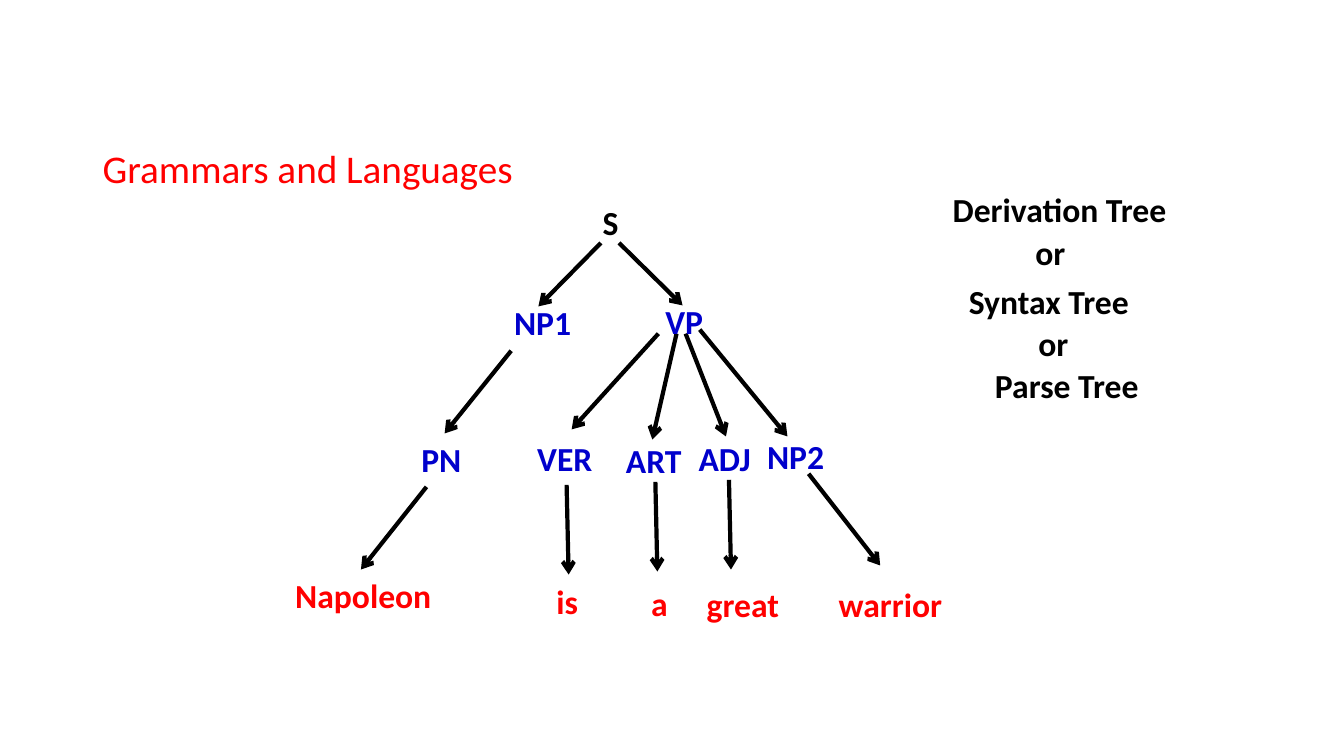
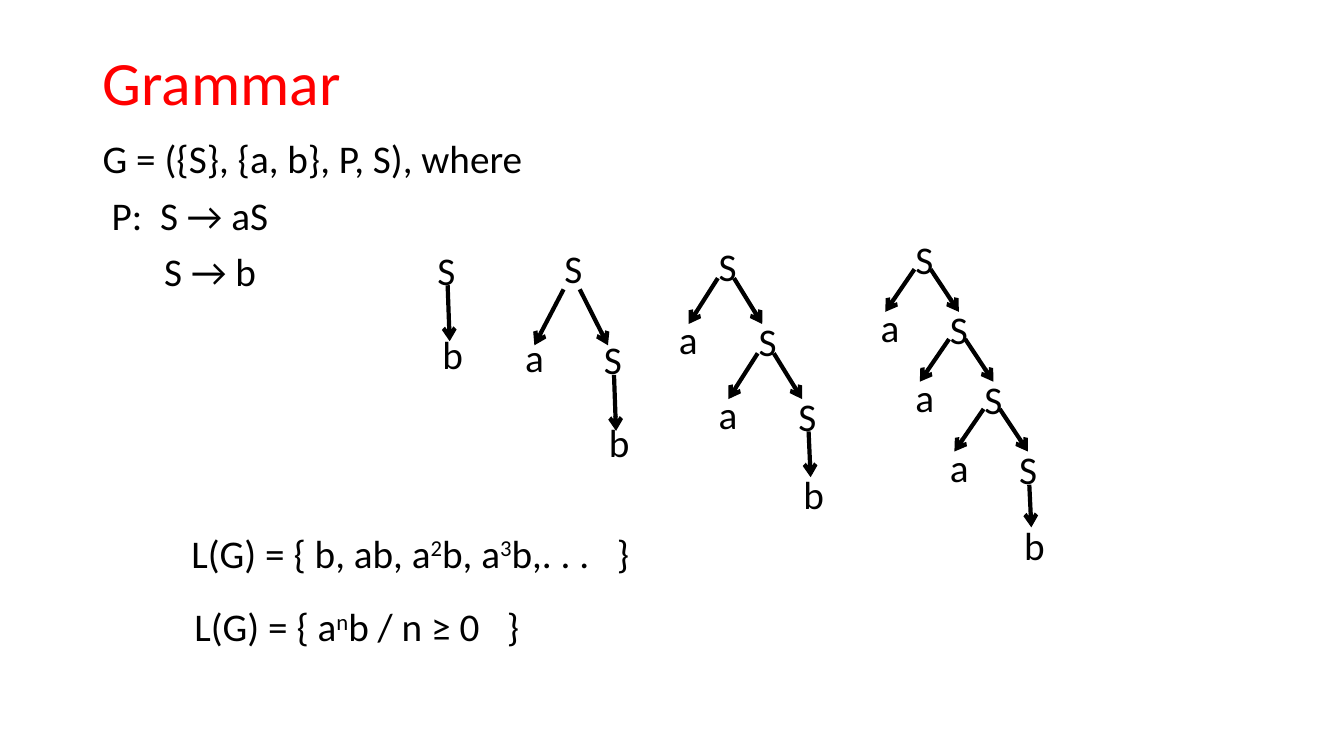
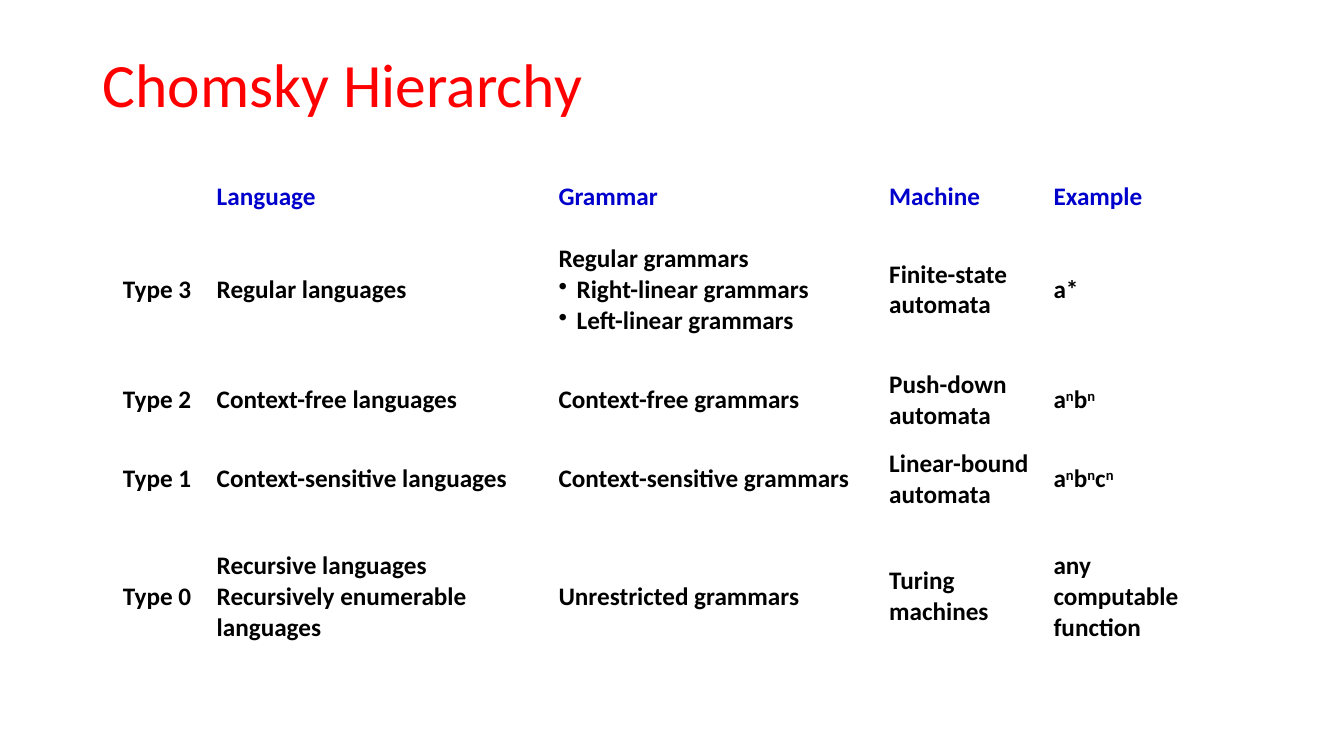
"""Build three slides on grammars, derivation trees and the Chomsky hierarchy."""
from lxml import etree
from pptx import Presentation
from pptx.dml.color import RGBColor
from pptx.enum.shapes import MSO_CONNECTOR
from pptx.enum.text import MSO_ANCHOR
from pptx.oxml.ns import qn
from pptx.util import Inches, Pt

STRAIGHT = MSO_CONNECTOR.STRAIGHT
TOP, MIDDLE = MSO_ANCHOR.TOP, MSO_ANCHOR.MIDDLE
FONT = "Calibri"
COLORS = {"title": "FF0000", "word": "FF0000", "symbol": "0000CC", "text": "000000"}
GRID = 0.1
MARGIN, CONTENT_WIDTH = 9.2, 115

SENTENCE_NODES = [
    ("S", 58.8, 19.5, 4, "text"),
    ("NP1", 50, 29.5, 9, "symbol"), ("VP", 65, 29.4, 6.6, "symbol"),
    ("PN", 40.8, 43.1, 6.9, "symbol"), ("VER", 52.3, 43, 7.8, "symbol"),
    ("ART", 61.1, 43.2, 9, "symbol"), ("ADJ", 68.3, 43, 9, "symbol"),
    ("NP2", 75.1, 42.8, 9, "symbol"),
    ("Napoleon", 28.3, 56.5, 15.7, "word"), ("is", 54.2, 57.1, 4.9, "word"),
    ("a", 63.6, 57.3, 3.7, "word"), ("great", 69.1, 57.4, 10.9, "word"),
    ("warrior", 82.2, 57.4, 14.8, "word"),
]
TREE_NAMES = [
    ("Derivation Tree", 93.5, 18.3, 24.1, "text"), ("or", 101.7, 22.5, 5.5, "text"),
    ("Syntax Tree", 95.1, 27.4, 24.1, "text"), ("or", 102, 31.5, 5.5, "text"),
    ("Parse Tree", 97.7, 35.7, 24.1, "text"),
]
SENTENCE_ARROWS = [
    (59.6, 24.1, 53.4, 30.4), (61.4, 24.1, 67.7, 30.3),
    (50.7, 34.8, 44.1, 43), (65.3, 33.1, 56.7, 42.6), (67.1, 33.1, 64.7, 43.6),
    (68, 33.1, 72, 43.3), (69.4, 32.7, 78.1, 43.3),
    (42.3, 48.3, 35.8, 56.5), (56.2, 48.1, 56.4, 57), (65, 47.8, 65.2, 56.7),
    (72.3, 47.6, 72.5, 56.5), (80.2, 47, 87.3, 56.1),
]
RULE_TREES = [
    (0, 42.4, 23.9, 3.8, 9.1, 8.4), (1, 55, 23.7, 3.9, 9.1, 8.2),
    (2, 70.3, 23.5, 3.95, 7.45, 7.8), (3, 89.8, 22.9, 3.43, 6.93, 7.5),
]
HIERARCHY = [
    ("", "Language", "Grammar", "Machine", "Example"),
    ("Type 3", "Regular languages",
     "Regular grammars\n• Right-linear grammars\n• Left-linear grammars",
     "Finite-state automata", "a*"),
    ("Type 2", "Context-free languages", "Context-free grammars",
     "Push-down automata", "a^n^b^n^"),
    ("Type 1", "Context-sensitive languages", "Context-sensitive grammars",
     "Linear-bound automata", "a^n^b^n^c^n^"),
    ("Type 0", "Recursive languages\nRecursively enumerable languages",
     "Unrestricted grammars", "Turing machines", "any computable function"),
]
COLUMN_WIDTHS = [9.3, 33.9, 32.8, 16.3, 15.4]
ROW_HEIGHTS = [4.4, 14.1, 7.8, 7.9, 15.4]


def cells(count):
    """Turn a number of grid cells into a length."""
    return Inches(count * GRID)


def indent(para, left, first):
    """Set the left margin and first-line indent in grid cells."""
    props = para._p.get_or_add_pPr()
    props.set("marL", str(cells(left)))
    props.set("indent", str(cells(first)))
    return props


def add_tab(para, position):
    """Add a left tab stop at a grid position."""
    stops = etree.SubElement(para._p.get_or_add_pPr(), qn("a:tabLst"))
    etree.SubElement(stops, qn("a:tab"), pos=str(cells(position)), algn="l")


def write(para, text, size, color, bold=False):
    """Fill a paragraph, raising the parts between carets and styling it all."""
    for index, part in enumerate(text.split("^")):
        if part:
            span = para.add_run()
            span.text = part
            if index % 2:
                span._r.get_or_add_rPr().set("baseline", "30000")
    para.font.name = FONT
    para.font.size = Pt(size)
    para.font.bold = bold
    para.font.color.rgb = RGBColor.from_string(COLORS[color])


def add_box(page, left, top, width, height, anchor=TOP):
    """Add a wrapping text box and return its text frame."""
    box = page.shapes.add_textbox(cells(left), cells(top), cells(width), cells(height))
    frame = box.text_frame
    frame.word_wrap = True
    frame.vertical_anchor = anchor
    return frame


def add_title(page, text, top=4, height=9, size=44, anchor=MIDDLE):
    """Add the red heading shared by all pages."""
    para = add_box(page, MARGIN, top, CONTENT_WIDTH, height, anchor).paragraphs[0]
    para.line_spacing = 0.9
    write(para, text, size, "title")


def add_label(page, text, left, top, width, color="text", size=28, bold=False, tab=None):
    """Add a one-line label."""
    para = add_box(page, left, top, width, 5.6 if size > 24 else 5).paragraphs[0]
    if tab:
        add_tab(para, tab)
    write(para, text, size, color, bold)


def add_arrow(page, x1, y1, x2, y2):
    """Draw a black arrow between two grid points."""
    arrow = page.shapes.add_connector(STRAIGHT, cells(x1), cells(y1), cells(x2), cells(y2))
    arrow.line.width = Pt(3)
    arrow.line.color.rgb = RGBColor.from_string(COLORS["text"])
    etree.SubElement(arrow.line._get_or_add_ln(), qn("a:tailEnd"), type="arrow")
    etree.SubElement(arrow._element.spPr, qn("a:effectLst"))


def add_rule_tree(page, depth, left, top, step_x, step_y, leaf_drop):
    """Draw the derivation that applies S → aS depth times and then S → b."""
    run = 0.61 * step_y
    for level in range(depth + 1):
        x, y = left + level * step_x, top + level * step_y
        add_label(page, "S", x, y, 4)
        if level < depth:
            start = y + 0.55 * step_y
            add_label(page, "a", x - step_x, y + step_y - 0.2, 4)
            add_arrow(page, x + 0.9, start, x - 2, start + run)
            add_arrow(page, x + 2.5, start, x + 5.3, start + run)
    add_label(page, "b", x + 0.5, y + leaf_drop, 4)
    add_arrow(page, x + 2, y + 4.4, x + 2.2, y + 4.4 + run)


def add_rules(page):
    """List the grammar and its productions."""
    frame = add_box(page, MARGIN, 13.4, CONTENT_WIDTH, 57)
    rules = [("G = ({S}, {a, b}, P, S), where", 0, 0),
             ("P:\tS → aS", 5.7, -4.8), ("S → b", 6.1, 0)]
    for index, (text, left, first) in enumerate(rules):
        para = frame.add_paragraph() if index else frame.paragraphs[0]
        indent(para, left, first)
        para.line_spacing = 0.9
        if index:
            para.space_before = Pt(10)
        write(para, text, 28, "text")


def fill_cell(cell, text, color):
    """Write one table cell, turning marked lines into bullets."""
    cell.fill.background()
    cell.vertical_anchor = MIDDLE
    cell.margin_left = cell.margin_right = cells(0.7)
    cell.margin_top = cell.margin_bottom = cells(0.7)
    for index, line in enumerate(text.split("\n")):
        para = cell.text_frame.add_paragraph() if index else cell.text_frame.paragraphs[0]
        if line.startswith("• "):
            etree.SubElement(indent(para, 1.8, -1.8), qn("a:buChar"), char="•")
        write(para, line.removeprefix("• "), 18, color, True)


def add_hierarchy(page):
    """Add the table of language classes."""
    table = page.shapes.add_table(
        len(ROW_HEIGHTS), len(COLUMN_WIDTHS), cells(11.5), cells(17.3),
        cells(sum(COLUMN_WIDTHS)), cells(sum(ROW_HEIGHTS))).table
    table.first_row = table.horz_banding = False
    for column, width in zip(table.columns, COLUMN_WIDTHS):
        column.width = cells(width)
    for index, (row, height) in enumerate(zip(table.rows, ROW_HEIGHTS)):
        row.height = cells(height)
        for cell, text in zip(row.cells, HIERARCHY[index]):
            fill_cell(cell, text, "text" if index else "symbol")


def main():
    """Build and save the deck."""
    deck = Presentation()
    deck.slide_width, deck.slide_height = Inches(13.33), Inches(7.5)
    sentence, grammar, hierarchy = (
        deck.slides.add_slide(deck.slide_layouts[6]) for _ in range(3))

    add_title(sentence, "Grammars and Languages", 14.4, 6, 28, TOP)
    for arrow in SENTENCE_ARROWS:
        add_arrow(sentence, *arrow)
    for node in SENTENCE_NODES + TREE_NAMES:
        add_label(sentence, *node, size=24, bold=True)

    add_title(grammar, "Grammar")
    add_rules(grammar)
    for tree in RULE_TREES:
        add_rule_tree(grammar, *tree)
    add_label(grammar, "L(G) = { b, ab, a^2^b, a^3^b,. . .\t}", 18, 52, 50.8, tab=42.2)
    add_label(grammar, "L(G) = { a^n^b / n ≥ 0\t}", 18.3, 59.3, 50.6, tab=31)

    add_title(hierarchy, "Chomsky Hierarchy", height=9.3)
    add_hierarchy(hierarchy)
    deck.save("out.pptx")


if __name__ == "__main__":
    main()
